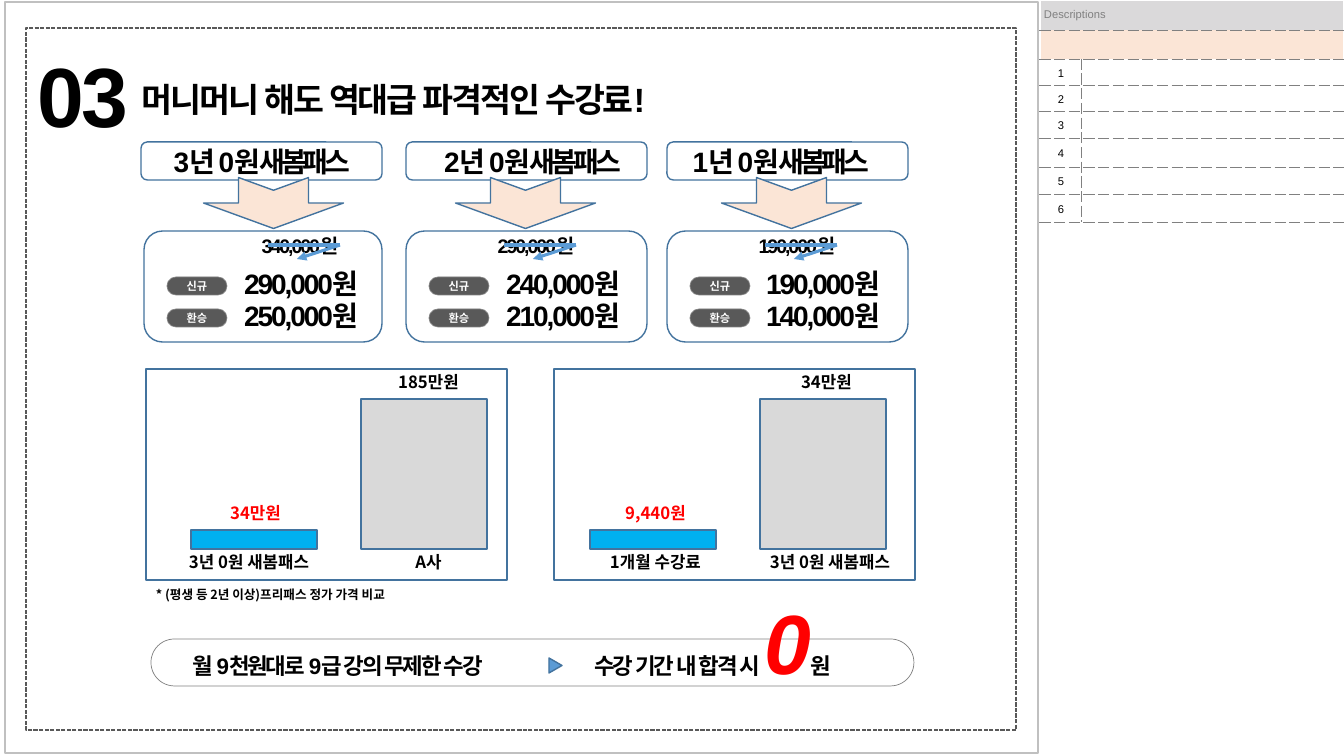
from lxml import etree
from pptx import Presentation
from pptx.dml.color import RGBColor
from pptx.enum.dml import MSO_LINE
from pptx.enum.shapes import MSO_CONNECTOR, MSO_SHAPE
from pptx.enum.text import MSO_ANCHOR, MSO_AUTO_SIZE, PP_ALIGN
from pptx.oxml.ns import qn
from pptx.util import Pt

RECT, ROUND = MSO_SHAPE.RECTANGLE, MSO_SHAPE.ROUNDED_RECTANGLE
ARROW, TRIANGLE = MSO_SHAPE.NOTCHED_RIGHT_ARROW, MSO_SHAPE.ISOSCELES_TRIANGLE
STRAIGHT, DASH = MSO_CONNECTOR.STRAIGHT, MSO_LINE.SQUARE_DOT
LEFT, CENTER, MIDDLE = PP_ALIGN.LEFT, PP_ALIGN.CENTER, MSO_ANCHOR.MIDDLE
GROW = MSO_AUTO_SIZE.SHAPE_TO_FIT_TEXT

W, H = 1344, 756
SCALE = 12192000 / W
BLACK, WHITE, RED = "000000", "FFFFFF", "FF0000"
GRAY, DARK, NAVY, BLUE, PEACH = "808080", "595959", "43739E", "5B9BD5", "FBE5D6"
ARIAL, NOTO = "Arial", "Noto Sans CJK KR"

TITLE = "머니머니 해도 역대급 파격적인 수강료!"
NUMBER = "03"
PASSES = [
    dict(name="3년 0원 새봄패스", label=(137, 250), head=141, card=(144, 238), arrow=248,
         old=("340,000원", 231), price=(197, 209), new=["290,000원", "250,000원"]),
    dict(name="2년 0원 새봄패스", label=(408, 249), head=406, card=(406, 241), arrow=500,
         old=("290,000원", 467), price=(459, 209), new=["240,000원", "210,000원"]),
    dict(name="1년 0원 새봄패스", label=(654, 254), head=667, card=(667, 241), arrow=766,
         old=("190,000원", 728), price=(730, 187), new=["190,000원", "140,000원"]),
]
BADGES = ["신규", "환승"]
PANELS = [146, 554]
BARS = [
    dict(name="3년 0원 새봄패스", label=(156, 186), value="34만원", at=186, x=191, h=19, fill="00B0F0", color=RED),
    dict(name="A사", label=(359, 139), value="185만원", at=359, x=361, h=150, fill="D9D9D9", color=BLACK),
    dict(name="1개월 수강료", label=(586, 139), value="9,440원", at=586, x=590, h=19, fill="00B0F0", color=RED),
    dict(name="3년 0원 새봄패스", label=(745, 170), value="34만원", at=757, x=760, h=150, fill="D9D9D9", color=BLACK),
]
BASELINE = 549
FOOTNOTE = "* (평생 등 2년 이상)프리패스 정가 가격 비교"
OFFER = "월 9천원대로 9급 강의 무제한 수강"
REFUND = [("수강 기간 내 합격 시 ", 16, BLACK, False), ("0", 60, RED, True), ("원", 16, BLACK, False)]
NOTES = [("Descriptions", ""), ("", ""), ("1", ""), ("2", ""), ("3", ""), ("4", ""), ("5", ""), ("6", "")]
NOTE_COLS = [41, 263]
NOTE_ROWS = [30, 29, 26, 26, 27, 29, 27, 28]

prs = Presentation()


def px(n):
    return round(n * SCALE)


def rgb(color):
    return RGBColor.from_string(color)


def style(p, size, color=BLACK, font=ARIAL, bold=True, spacing=0, align=CENTER):
    p.alignment = align
    f = p.font
    f.size, f.bold, f.name = Pt(size), bold, font
    f.color.rgb = rgb(color)
    props = p._p.pPr.find(qn("a:defRPr"))
    if spacing:
        props.set("spc", str(round(spacing * 100)))
    etree.SubElement(props, qn("a:ea"), typeface=font)


def add_text(x, y, w, h, text, size, wrap=True, **look):
    s = slide.shapes.add_textbox(px(x), px(y), px(w), px(h))
    tf = s.text_frame
    tf.word_wrap, tf.auto_size = wrap, GROW
    p = tf.paragraphs[0]
    if text:
        p.add_run().text = text
    style(p, size, **look)
    return p


def add_box(kind, x, y, w, h, fill=None, line=NAVY, width=1, adj=None, rotation=0):
    s = slide.shapes.add_shape(kind, px(x), px(y), px(w), px(h))
    s.shadow.inherit = False
    s.rotation = rotation
    if adj is not None:
        s.adjustments[0] = adj
    if fill:
        s.fill.solid()
        s.fill.fore_color.rgb = rgb(fill)
    else:
        s.fill.background()
    s.line.color.rgb = rgb(line)
    s.line.width = Pt(width)
    return s


def add_line(x1, y1, x2, y2, arrow=False):
    s = slide.shapes.add_connector(STRAIGHT, px(x1), px(y1), px(x2), px(y2))
    s.line.color.rgb = rgb(BLUE)
    s.line.width = Pt(2.25)
    if arrow:
        etree.SubElement(s._element.spPr.get_or_add_ln(), qn("a:tailEnd"), type="triangle")
    etree.SubElement(s._element.spPr, qn("a:effectLst"))


def add_badge(x, y, text):
    s = add_box(ROUND, x, y, 60, 18, DARK, GRAY, 0.5, 0.5)
    tf = s.text_frame
    tf.word_wrap, tf.vertical_anchor = False, MIDDLE
    p = tf.paragraphs[0]
    p.add_run().text = text
    style(p, 8, WHITE)


def add_pass(item):
    add_text(item["label"][0], 140, item["label"][1], 44, item["name"], 20, spacing=-3)
    add_box(ROUND, item["head"], 142, 241, 38)
    add_box(ARROW, item["arrow"], 133, 51, 140, PEACH, rotation=90)
    x, w = item["card"]
    add_box(ROUND, x, 231, w, 111)
    old, left = item["old"]
    add_text(left, 229, 138, 34, old, 14, spacing=-1.5)
    add_line(left + 37, 245, left + 109, 245)
    add_line(left + 109, 245, left + 66, 259, arrow=True)
    for i, (badge, price) in enumerate(zip(BADGES, item["new"])):
        add_text(item["price"][0], 262 + 32 * i, item["price"][1], 44, price, 20, spacing=-1.5)
        add_badge(x + 23, 277 + 32 * i, badge)


def add_bar(bar):
    top = BASELINE - bar["h"]
    add_box(RECT, bar["x"], top, 126, bar["h"], bar["fill"])
    add_text(bar["label"][0], 547, bar["label"][1], 30, bar["name"], 12, font=NOTO)
    add_text(bar["at"], top - 32, 139, 30, bar["value"], 12, font=NOTO, color=bar["color"])


def add_border(cell, side):
    ln = etree.SubElement(cell._tc.get_or_add_tcPr(), qn("a:" + side), w="3175")
    fill = etree.SubElement(ln, qn("a:solidFill"))
    etree.SubElement(fill, qn("a:srgbClr"), val=GRAY)
    etree.SubElement(ln, qn("a:prstDash"), val="sysDash")


def add_notes_table():
    frame = slide.shapes.add_table(len(NOTE_ROWS), len(NOTE_COLS), px(1040), 0,
                                   px(sum(NOTE_COLS)), px(sum(NOTE_ROWS)))
    table = frame.table
    table.first_row = table.horz_banding = False
    for column, w in zip(table.columns, NOTE_COLS):
        column.width = px(w)
    for row, h in zip(table.rows, NOTE_ROWS):
        row.height = px(h)
    for i, texts in enumerate(NOTES):
        for j, text in enumerate(texts):
            cell = table.cell(i, j)
            cell.margin_left = px(4 if i == 0 else 1)
            cell.margin_top = px(4)
            cell.margin_bottom = px(4 if i == 0 else 1)
            cell.margin_right = 0
            cell.vertical_anchor = MIDDLE
            p = cell.text_frame.paragraphs[0]
            if text:
                p.add_run().text = text
            style(p, 8, BLACK if i else GRAY, bold=False, align=CENTER if i else LEFT)
            etree.SubElement(p._p, qn("a:endParaRPr"), sz="800")
            inner = [] if i < 2 else [("lnR", "lnL")[j]]
            for side in inner + (["lnT"] if i else []) + ["lnB"]:
                add_border(cell, side)
            cell.fill.solid()
            cell.fill.fore_color.rgb = rgb({0: "DAD9DA", 1: PEACH}.get(i, WHITE))
    for i in range(2):
        table.cell(i, 0).merge(table.cell(i, 1))


prs.slide_width, prs.slide_height = px(W), px(H)
slide = prs.slides.add_slide(prs.slide_layouts[6])

add_box(RECT, 5, 2, 1033, 751, line="C0C0C0")
add_box(RECT, 26, 28, 990, 702, line=DARK).line.dash_style = DASH
add_text(132, 74, 578, 50, TITLE, 24, wrap=False, spacing=-1.5, align=LEFT)
add_text(26, 39, 114, 112, NUMBER, 60, wrap=False, spacing=-1.5)

for item in PASSES:
    add_pass(item)

for x in PANELS:
    add_box(RECT, x, 369, 361, 211)
for bar in BARS:
    add_bar(bar)
add_text(146, 582, 298, 25, FOOTNOTE, 9, font=NOTO, align=LEFT)

add_box(ROUND, 151, 639, 763, 47, WHITE, GRAY, 0.5, 0.5)
add_text(151, 647, 373, 37, OFFER, 16, spacing=-1.5)
add_box(TRIANGLE, 548, 659, 15, 13, BLUE, rotation=90)
refund = add_text(547, 586, 332, 112, "", 16, spacing=-1.5)
for text, size, color, italic in REFUND:
    r = refund.add_run()
    r.text = text
    r.font.size, r.font.italic = Pt(size), italic
    r.font.color.rgb = rgb(color)

add_notes_table()
prs.save("out.pptx")
